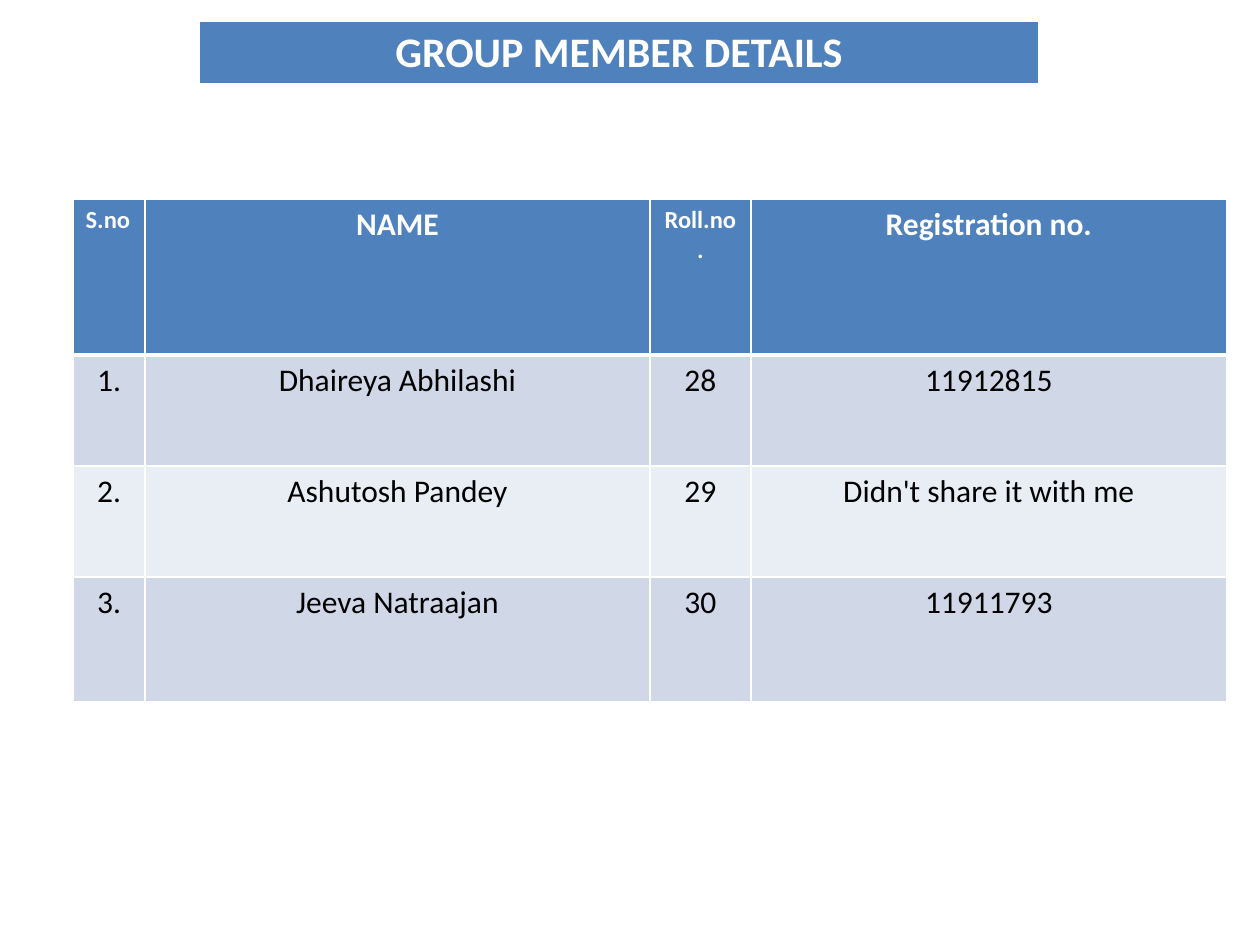
from lxml.etree import SubElement
from pptx import Presentation
from pptx.dml.color import RGBColor
from pptx.enum.text import PP_ALIGN as Align
from pptx.oxml.ns import qn
from pptx.util import Pt

# Content
TITLE = "GROUP MEMBER DETAILS"
HEADERS = [("S.no", 14, Align.LEFT), ("NAME", 18, Align.CENTER),
           ("Roll.no.", 14, Align.CENTER), ("Registration no.", 18, Align.CENTER)]
MEMBERS = [
    ("1.", "Dhaireya Abhilashi", "28", "11912815"),
    ("2.", "Ashutosh Pandey", "29", "Didn't share it with me"),
    ("3.", "Jeeva Natraajan", "30", "11911793"),
]

# Layout in px
PX = 914400 // 126
TITLE_AT, TITLE_WIDTH, TITLE_HEIGHT = (199, 21), 840, 63
MEMBERS_AT = (73, 199)
COLUMN_WIDTHS = [72, 505, 101, 476]
ROW_HEIGHTS = [156, 111, 111, 125]

FONT = "Calibri"
WHITE, BLACK, BLUE = "FFFFFF", "000000", "4F81BD"
BANDS = ["D0D8E8", "E9EDF4"]


def color(value):
    return RGBColor.from_string(value)


def add_grid(page, at, widths, heights):
    left, top = at
    frame = page.shapes.add_table(len(heights), len(widths), left * PX, top * PX,
                                  sum(widths) * PX, sum(heights) * PX)
    grid = frame.table
    for column, width in zip(grid.columns, widths):
        column.width = width * PX
    for row, height in zip(grid.rows, heights):
        row.height = height * PX
    return grid


def set_borders(cell, top, bottom):
    properties = cell._tc.get_or_add_tcPr()
    for side, width in (("L", 1), ("R", 1), ("T", top), ("B", bottom)):
        line = SubElement(properties, qn(f"a:ln{side}"), w=str(Pt(width)))
        solid = SubElement(line, qn("a:solidFill"))
        SubElement(solid, qn("a:srgbClr"), val=WHITE)


def fill_cell(cell, text, size, fill, ink=BLACK, bold=False,
              align=Align.CENTER, top=1, bottom=1):
    set_borders(cell, top, bottom)
    cell.fill.solid()
    cell.fill.fore_color.rgb = color(fill)
    para = cell.text_frame.paragraphs[0]
    para.alignment = align
    span = para.add_run()
    span.text = text
    span.font.name = FONT
    span.font.size = Pt(size)
    span.font.bold = bold
    span.font.color.rgb = color(ink)


def main():
    deck = Presentation()
    deck.slide_width, deck.slide_height = 1260 * PX, 945 * PX
    page = deck.slides.add_slide(deck.slide_layouts[6])

    # Member table
    members = add_grid(page, MEMBERS_AT, COLUMN_WIDTHS, ROW_HEIGHTS)
    for column, (text, size, align) in enumerate(HEADERS):
        fill_cell(members.cell(0, column), text, size, BLUE, WHITE, True, align, bottom=3)
    for row, member in enumerate(MEMBERS, start=1):
        for column, text in enumerate(member):
            fill_cell(members.cell(row, column), text, 18, BANDS[(row - 1) % 2],
                      top=3 if row == 1 else 1)

    # Title band
    title = add_grid(page, TITLE_AT, [TITLE_WIDTH], [TITLE_HEIGHT])
    fill_cell(title.cell(0, 0), TITLE, 24, BLUE, WHITE, True, bottom=3)

    deck.save("out.pptx")


if __name__ == "__main__":
    main()
